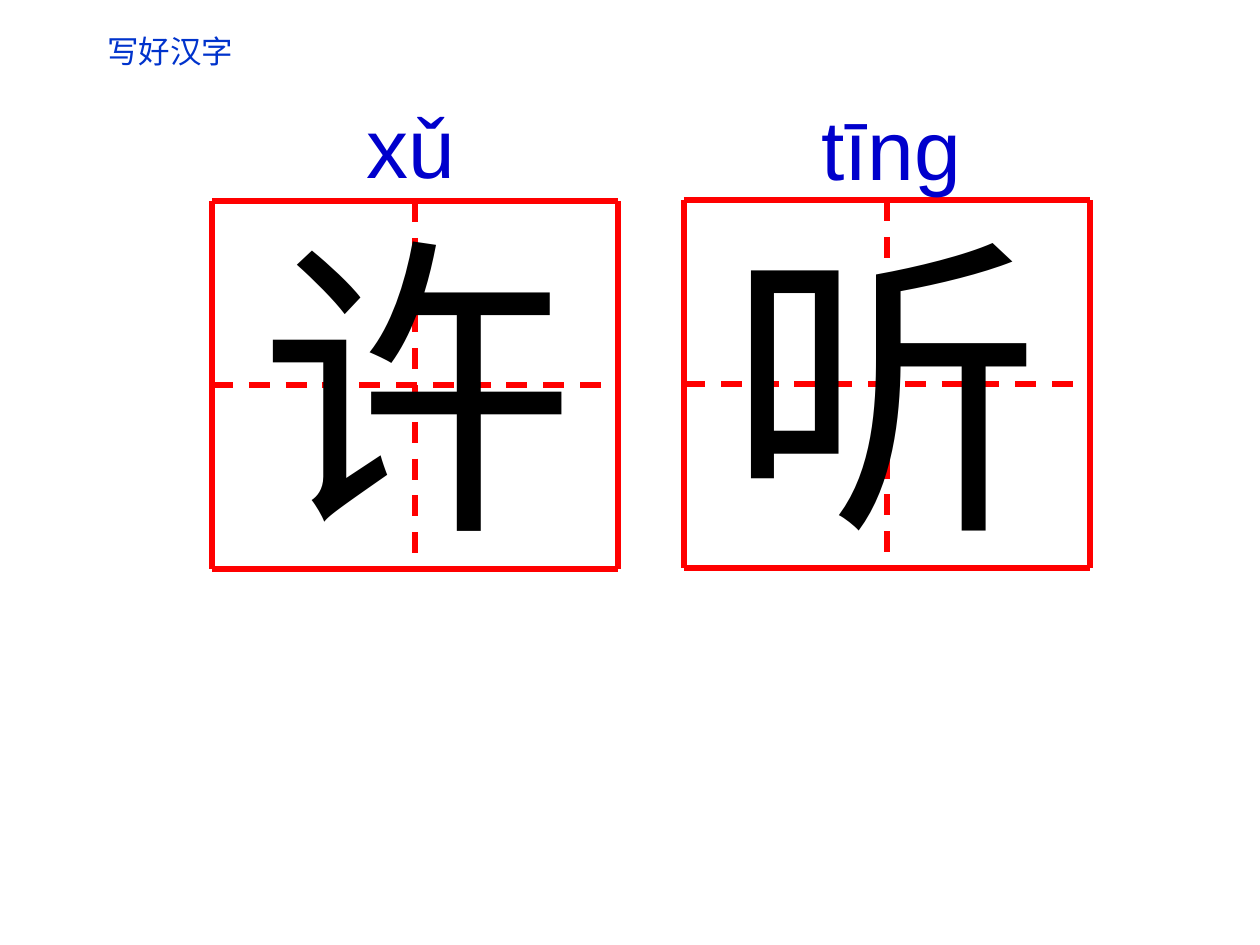
"""Build a slide of two Chinese characters in dashed writing grids with pinyin."""
from dataclasses import dataclass

import pptx
import pptx.dml.color
import pptx.enum.dml
import pptx.enum.shapes
import pptx.enum.text
import pptx.oxml.ns
import pptx.util
from lxml import etree

PX = 914400 // 126
SLIDE = (1260, 945)
GRID = (406, 368)

TITLE = ("写好汉字", (44, 26, 252, 72))
CELLS = [
    {"grid_at": (684, 200), "character": "听", "character_at": (715, 185),
     "pinyin": "tīng", "pinyin_at": (809, 90)},
    {"grid_at": (212, 201), "character": "许", "character_at": (247, 185),
     "pinyin": "xǔ", "pinyin_at": (354, 88)},
]
CHARACTER_SIZE = (530, 391)
PINYIN_SIZE = (186, 113)


@dataclass(frozen=True)
class Theme:
    latin: str = "Arial"
    chinese: str = "Noto Sans CJK SC"
    title_color: str = "0033CC"
    pinyin_color: str = "0000CC"
    ink: str = "000000"
    grid_color: str = "FF0000"
    title_pt: int = 18
    pinyin_pt: int = 48
    character_pt: int = 180
    line_pt: int = 3


THEME = Theme()
ALIGN = pptx.enum.text.PP_ALIGN


def rgb(color):
    return pptx.dml.color.RGBColor.from_string(color)


def write(box, text, font, size, color, align=ALIGN.LEFT, wrap=True):
    frame = box.text_frame
    frame.word_wrap = wrap
    frame.auto_size = pptx.enum.text.MSO_AUTO_SIZE.NONE
    frame.vertical_anchor = pptx.enum.text.MSO_ANCHOR.TOP
    para = frame.paragraphs[0]
    para.alignment = align
    span = para.add_run()
    span.text = text
    span.font.size = pptx.util.Pt(size)
    span.font.color.rgb = rgb(color)
    span.font.name = font
    properties = span.font._element
    etree.SubElement(properties, pptx.oxml.ns.qn("a:ea"), typeface=font)


def add_text(slide, at, size, text, points, color):
    box = slide.shapes.add_textbox(*(value * PX for value in at + size))
    write(box, text, THEME.latin, points, color)


def add_line(slide, start, end, dashed):
    line = slide.shapes.add_connector(
        pptx.enum.shapes.MSO_CONNECTOR.STRAIGHT,
        *(value * PX for value in start + end))
    line.line.color.rgb = rgb(THEME.grid_color)
    line.line.width = pptx.util.Pt(THEME.line_pt)
    if dashed:
        line.line.dash_style = pptx.enum.dml.MSO_LINE.DASH
    etree.SubElement(line._element.spPr, pptx.oxml.ns.qn("a:effectLst"))


def add_grid(slide, left, top):
    width, height = GRID
    right, bottom = left + width, top + height
    for step in (0, 2, 1):
        x = left + width * step // 2
        y = top + height * step // 2
        add_line(slide, (left, y), (right, y), step == 1)
        add_line(slide, (x, top), (x, bottom), step == 1)


def main():
    deck = pptx.Presentation()
    deck.slide_width, deck.slide_height = (value * PX for value in SLIDE)
    slide = deck.slides.add_slide(deck.slide_layouts[5])

    text, place = TITLE
    title = slide.shapes.title
    title.left, title.top, title.width, title.height = (value * PX for value in place)
    write(title, text, THEME.chinese, THEME.title_pt, THEME.title_color,
          align=ALIGN.CENTER, wrap=False)

    for cell in CELLS:
        add_grid(slide, *cell["grid_at"])
        add_text(slide, cell["character_at"], CHARACTER_SIZE, cell["character"],
                 THEME.character_pt, THEME.ink)
    for cell in CELLS:
        add_text(slide, cell["pinyin_at"], PINYIN_SIZE, cell["pinyin"],
                 THEME.pinyin_pt, THEME.pinyin_color)

    deck.save("out.pptx")


if __name__ == "__main__":
    main()
